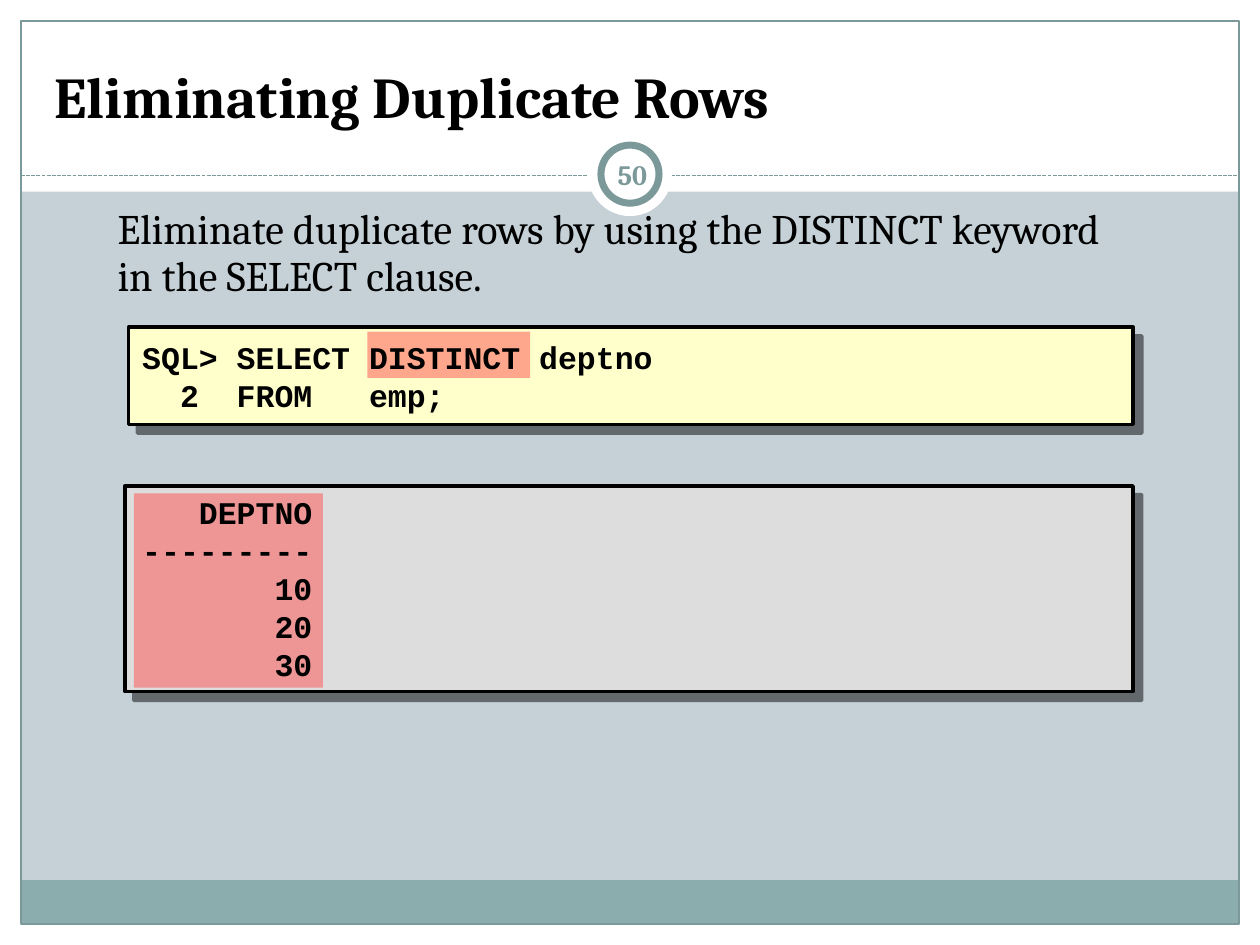
from lxml import etree
from pptx import Presentation
from pptx.dml.color import RGBColor
from pptx.enum.dml import MSO_LINE
from pptx.enum.shapes import MSO_CONNECTOR, MSO_SHAPE
from pptx.enum.text import MSO_ANCHOR as Anchor, PP_ALIGN as Align
from pptx.oxml.ns import qn
from pptx.util import Pt

WHITE = RGBColor(0xFF, 0xFF, 0xFF)
BLACK = RGBColor(0, 0, 0)
MIST = RGBColor(0xC5, 0xD1, 0xD7)
TEAL = RGBColor(0x7C, 0x99, 0x9A)
FOOTER = RGBColor(0x8C, 0xAD, 0xAE)
CREAM = RGBColor(0xFF, 0xFF, 0xCC)
SILVER = RGBColor(0xDD, 0xDD, 0xDD)
RED = RGBColor(0xFF, 0x50, 0x50)

WIDTH, HEIGHT, MARGIN = 720, 540, 12
SERIF, MONO = "Cambria", "Courier New"
CODE = {"name": MONO, "size": Pt(18), "bold": True}


def add_part(page, box, fill=None, line=None, weight=0.75, kind=MSO_SHAPE.RECTANGLE):
    part = page.shapes.add_shape(kind, *map(Pt, box))
    part.shadow.inherit = False
    if fill is None:
        part.fill.background()
    else:
        part.fill.solid()
        part.fill.fore_color.rgb = fill
    if line is None:
        part.line.fill.background()
    else:
        part.line.color.rgb = line
        part.line.width = Pt(weight)
    return part


def place(shape, box):
    for name, value in zip(("left", "top", "width", "height"), box):
        setattr(shape, name, Pt(value))


def write(shape, lines, font, color=BLACK, anchor=Anchor.TOP, para_format=None):
    """Fill a shape with one paragraph for each line."""
    frame = shape.text_frame
    frame.word_wrap = True
    frame.vertical_anchor = anchor
    frame.text = "\n".join(lines)
    for para in frame.paragraphs:
        for name, value in (para_format or {}).items():
            setattr(para, name, value)
        for span in para.runs:
            for name, value in font.items():
                setattr(span.font, name, value)
            span.font.color.rgb = color


def add_text(page, box, lines, font, **options):
    write(page.shapes.add_textbox(*map(Pt, box)), lines, font, **options)


def cast_shadow(shape):
    effects = shape._element.spPr.find(qn("a:effectLst"))
    shadow = etree.SubElement(effects, qn("a:outerShdw"), dist="90170",
                              dir="2700000", algn="ctr", rotWithShape="0")
    color = etree.SubElement(shadow, qn("a:srgbClr"), val=str(BLACK))
    etree.SubElement(color, qn("a:alpha"), val="50000")


def add_frame(page, box):
    """White margins, header band, footer bar and dashed rule."""
    left, top, width, height = box
    right, bottom = left + width, top + height
    for band in ((left, bottom - MARGIN, width, MARGIN),
                 (left, top, width, 109.5),
                 (left, top, MARGIN, height),
                 (right - MARGIN, top, MARGIN, height)):
        add_part(page, band, WHITE)
    inner = width - 2 * MARGIN
    add_part(page, (left + MARGIN, bottom - 37, inner, 25), FOOTER)
    add_part(page, (left + MARGIN, top + MARGIN, inner, height - 2 * MARGIN), line=TEAL)
    rule = page.shapes.add_connector(MSO_CONNECTOR.STRAIGHT, Pt(left + MARGIN), Pt(top + 100.5),
                                     Pt(right - MARGIN), Pt(top + 100.5))
    rule.line.color.rgb = TEAL
    rule.line.width = Pt(0.75)
    rule.line.dash_style = MSO_LINE.SQUARE_DOT
    etree.SubElement(rule._element.spPr, qn("a:effectLst"))


def add_page_number(page, box, number):
    left, top, size, _ = box
    inset = 7.4
    ring = (left + inset, top + inset, size - 2 * inset, size - 2 * inset)
    add_part(page, box, WHITE, kind=MSO_SHAPE.OVAL)
    add_part(page, ring, WHITE, TEAL, 4, MSO_SHAPE.OVAL)
    add_text(page, (left + inset, top + 7, 36, 34.5), [number],
             {"name": SERIF, "size": Pt(16), "bold": True}, color=TEAL,
             anchor=Anchor.MIDDLE, para_format={"alignment": Align.CENTER})


def add_panel(page, box, fill, lines, mark, text_box):
    """Shadowed code panel; mark and text_box are relative to its corner."""
    left, top = box[:2]

    def shift(part):
        return (left + part[0], top + part[1], *part[2:])

    cast_shadow(add_part(page, box, fill, BLACK, 2))
    highlight = add_part(page, shift(mark), RED)
    color = highlight._element.spPr.find(qn("a:solidFill"))[0]
    etree.SubElement(color, qn("a:alpha"), val="50000")
    add_text(page, shift(text_box), lines, CODE, anchor=Anchor.MIDDLE,
             para_format={"line_spacing": Pt(21.7)})


def add_heading(page, title_box, title, body_box, body):
    """Place both placeholders in front of the frame."""
    heading, intro = page.placeholders
    for holder, box in ((heading, title_box), (intro, body_box)):
        place(holder, box)
        page.shapes._spTree.append(holder._element)
    write(heading, [title], {"name": SERIF, "size": Pt(33), "bold": True},
          anchor=Anchor.BOTTOM, para_format={"alignment": Align.LEFT})
    write(intro, [body], {"name": SERIF, "size": Pt(24)},
          para_format={"line_spacing": 0.95, "space_before": Pt(0)})
    props = intro.text_frame.paragraphs[0]._p.get_or_add_pPr()
    props.set("marL", "0")
    props.set("indent", "0")
    etree.SubElement(props, qn("a:buNone"))


def main():
    deck = Presentation()
    deck.slide_width, deck.slide_height = Pt(WIDTH), Pt(HEIGHT)
    page = deck.slides.add_slide(deck.slide_layouts[1])
    page.background.fill.solid()
    page.background.fill.fore_color.rgb = MIST

    add_frame(page, (0, 0, WIDTH, HEIGHT))
    add_page_number(page, (336, 75.5, 48, 48), "50")
    add_heading(page, (24, 18, 672, 60), "Eliminating Duplicate Rows",
                (60, 114, 580, 62.5),
                "Eliminate duplicate rows by using the DISTINCT keyword in the SELECT clause.")
    add_panel(page, (73.5, 187, 574, 55.5), CREAM,
              ["SQL> SELECT DISTINCT deptno", "  2  FROM   emp;"],
              (136.5, 2.5, 93, 26.5), (0.7, -1.2, 573, 57.5))
    add_panel(page, (71.5, 277.7, 576, 117.5), SILVER,
              ["   DEPTNO", "-" * 9, *(f"{number:>9}" for number in (10, 20, 30))],
              (5, 4.3, 108, 111), (2.7, -0.5, 573, 117.5))
    deck.save("out.pptx")


if __name__ == "__main__":
    main()
